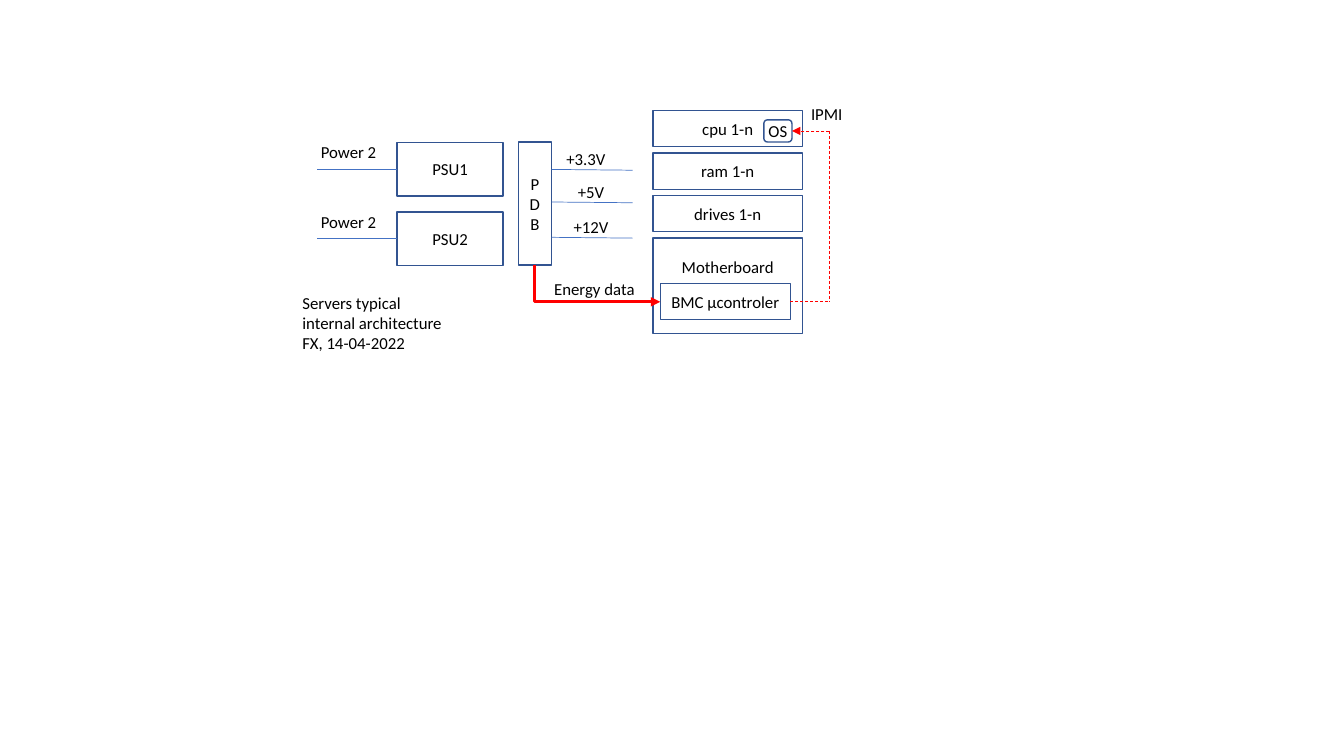
from lxml import etree
from pptx import Presentation
from pptx.dml.color import RGBColor
from pptx.enum.dml import MSO_LINE
from pptx.enum.shapes import MSO_CONNECTOR, MSO_SHAPE
from pptx.enum.text import MSO_ANCHOR, PP_ALIGN
from pptx.oxml.ns import qn
from pptx.util import Cm, Pt

RECTANGLE, ROUNDED = MSO_SHAPE.RECTANGLE, MSO_SHAPE.ROUNDED_RECTANGLE
STRAIGHT, ELBOW = MSO_CONNECTOR.STRAIGHT, MSO_CONNECTOR.ELBOW
LEFT, CENTER = PP_ALIGN.LEFT, PP_ALIGN.CENTER
TOP, MIDDLE = MSO_ANCHOR.TOP, MSO_ANCHOR.MIDDLE
DASH = MSO_LINE.DASH

BLACK, NAVY, BLUE, RED = "000000", "325491", "4472C4", "FF0000"
FONT = "Calibri"
LABEL_HEIGHT = 0.86
ROW_HEIGHT = 0.91


def color(hex_string):
    return RGBColor.from_string(hex_string)


def write_text(shape, text, size=12, align=CENTER, anchor=MIDDLE, wrap=True,
               margins=(0.25, 0.13, 0.25, 0.13)):
    """Fill a shape with text; margins are left, top, right, bottom in cm."""
    frame = shape.text_frame
    frame.word_wrap = wrap
    frame.vertical_anchor = anchor
    (frame.margin_left, frame.margin_top,
     frame.margin_right, frame.margin_bottom) = map(Cm, margins)
    paragraph = frame.paragraphs[0]
    paragraph.text = text
    paragraph.alignment = align
    for run in paragraph.runs:
        run.font.name = FONT
        run.font.size = Pt(size)
        run.font.color.rgb = color(BLACK)


def add_box(slide, text, left, top, width, height, kind=RECTANGLE, **text_format):
    shape = slide.shapes.add_shape(kind, Cm(left), Cm(top), Cm(width), Cm(height))
    shape.shadow.inherit = False
    shape.fill.background()
    shape.line.color.rgb = color(NAVY)
    shape.line.width = Pt(1)
    write_text(shape, text, **text_format)
    return shape


def add_label(slide, text, left, top, width, height=LABEL_HEIGHT, **text_format):
    label = slide.shapes.add_textbox(Cm(left), Cm(top), Cm(width), Cm(height))
    write_text(label, text, **text_format)


def add_line(slide, start, end, line_color=BLUE, width=0.5, kind=STRAIGHT,
             dash=None, arrow=False):
    connector = slide.shapes.add_connector(kind, *map(Cm, start + end))
    connector.line.color.rgb = color(line_color)
    connector.line.width = Pt(width)
    if dash:
        connector.line.dash_style = dash
    if arrow:
        outline = connector.line._get_or_add_ln()
        etree.SubElement(outline, qn("a:tailEnd"), type="triangle")
    etree.SubElement(connector._element.spPr, qn("a:effectLst"))
    return connector


def add_down_right_arrow(slide, start, end):
    """Draw a single-bend arrow that goes down first and then right."""
    connector = add_line(slide, start, end, RED, 2.25, ELBOW, arrow=True)
    across, down = end[0] - start[0], end[1] - start[1]
    properties = connector._element.spPr
    properties.find(qn("a:prstGeom")).set("prst", "bentConnector2")
    transform = properties.find(qn("a:xfrm"))
    transform.set("rot", "16200000")
    transform.set("flipH", "1")
    connector.left = Cm(start[0] + (across - down) / 2)
    connector.top = Cm(start[1] + (down - across) / 2)
    connector.width, connector.height = Cm(down), Cm(across)


def add_power_supplies(slide, left, top):
    width, height, pitch = 2.67, 1.35, 1.75
    box_left = left + 2.24
    for index in range(2):
        box_top = top + index * pitch
        add_box(slide, f"PSU{index + 1}", box_left, box_top, width, height)
        middle = box_top + height / 2
        add_line(slide, (box_left, middle), (left + 0.23, middle))
        add_label(slide, "Power 2", left, middle - LABEL_HEIGHT, 2.03)


def add_distribution_board(slide, left, top):
    """Draw the board with its voltage rails; return its bottom centre."""
    width, height = 0.84, 3.1
    add_box(slide, "PDB", left, top, width, height)
    right = left + width
    rails = [("+3.3V", 0.69, 0), ("+5V", 1.51, 0.13), ("+12V", 2.4, 0.13)]
    for voltage, offset, shift in rails:
        rail = top + offset
        add_line(slide, (right, rail), (right + 2.04, rail + 0.02))
        add_label(slide, voltage, right + shift, rail - 0.69, 1.73)
    return left + width / 2, top + height


def add_components(slide, left, top):
    """Draw the component stack and IPMI route; return the controller's left centre."""
    width, pitch = 3.76, 1.07
    for index, name in enumerate(("cpu 1-n", "ram 1-n", "drives 1-n")):
        add_box(slide, name, left, top + index * pitch, width, ROW_HEIGHT)
    board_top = top + 3 * pitch
    add_box(slide, "Motherboard", left, board_top, width, 2.41,
            anchor=TOP, margins=(0.25, 0.47, 0.25, 0.13))

    controller_left, controller_top, controller_width = left + 0.18, board_top + 1.15, 3.28
    add_box(slide, "BMC µcontroler", controller_left, controller_top,
            controller_width, ROW_HEIGHT)
    system_left, system_width = left + 2.79, 0.71
    add_box(slide, "OS", system_left, top + 0.23, system_width, 0.56, ROUNDED,
            margins=(0, 0.13, 0, 0.13))

    system_middle = top + 0.51
    controller_middle = controller_top + ROW_HEIGHT / 2
    route = left + 4.44
    upper, lower = (route, system_middle), (route, controller_middle)
    system_right = (system_left + system_width, system_middle)
    controller_right = (controller_left + controller_width, controller_middle)
    for start, end, arrow in ((upper, system_right, True), (upper, lower, False),
                              (controller_right, lower, False)):
        add_line(slide, start, end, RED, dash=DASH, arrow=arrow)
    add_label(slide, "IPMI", left + 3.73, top - 0.3, 1.35, 0.76,
              align=LEFT, anchor=TOP, wrap=False)
    return controller_left, controller_middle


def add_energy_path(slide, start, end):
    add_down_right_arrow(slide, start, end)
    add_label(slide, "Energy data", end[0] - 3.3, end[1] - 0.75, 3.28)


def add_caption(slide, left, top):
    add_label(slide, "Servers typical internal architecture\vFX, 14-04-2022",
              left, top, 4.11, align=LEFT)


def main():
    presentation = Presentation()
    presentation.slide_width, presentation.slide_height = Cm(33.87), Cm(19.05)
    slide = presentation.slides.add_slide(presentation.slide_layouts[6])
    add_power_supplies(slide, 7.77, 3.59)
    board_bottom = add_distribution_board(slide, 13.06, 3.58)
    controller = add_components(slide, 16.46, 2.79)
    add_energy_path(slide, board_bottom, controller)
    add_caption(slide, 7.37, 7.7)
    presentation.save("out.pptx")


if __name__ == "__main__":
    main()
